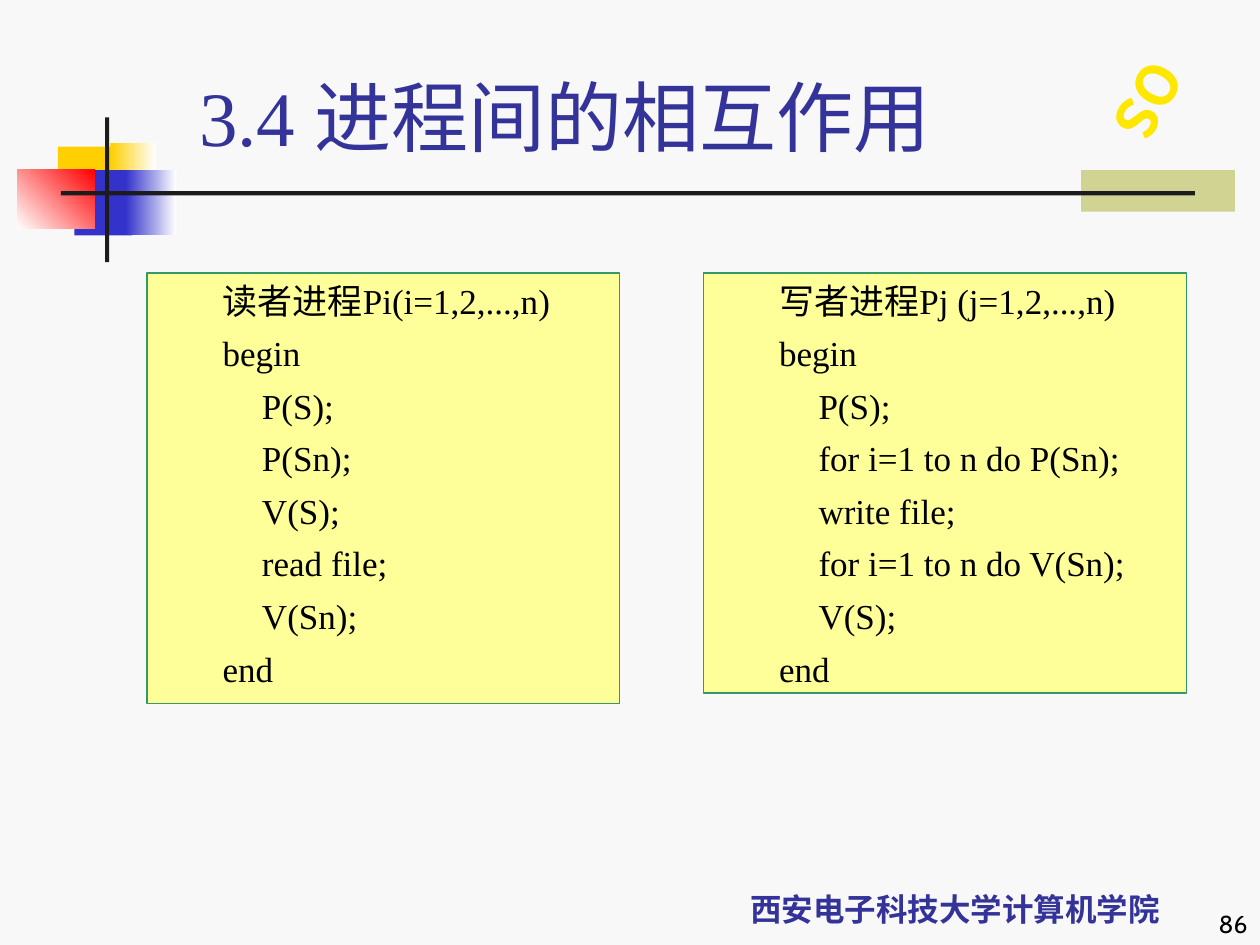
from dataclasses import dataclass
from lxml.etree import SubElement
from pptx import Presentation
from pptx.dml.color import RGBColor
from pptx.enum.shapes import MSO_SHAPE as Shape
from pptx.enum.text import MSO_ANCHOR as Anchor, MSO_AUTO_SIZE as AutoSize, PP_ALIGN as Align
from pptx.oxml.ns import qn
from pptx.util import Pt


@dataclass(frozen=True)
class Theme:
    background: str = "F8F8F8"
    olive: str = "D1D393"
    gold: str = "FFCF01"
    blue: str = "3333CC"
    red: str = "FF0000"
    white: str = "FFFFFF"
    rule: str = "1C1C1C"
    heading: str = "333399"
    emblem: str = "FFE701"
    panel: str = "FFFF99"
    border: str = "339966"
    ink: str = "000000"
    serif: str = "Times New Roman"
    sans: str = "Noto Sans CJK SC"
    number: str = "Cabin"
    title_size: int = 44
    emblem_size: int = 32
    code_size: int = 20
    school_size: int = 18
    number_size: int = 14


theme = Theme()


def place(shape, left, top, width, height):
    shape.left, shape.top, shape.width, shape.height = Pt(left), Pt(top), Pt(width), Pt(height)


def style(para, name, size, color, align=Align.LEFT, bold=False):
    para.alignment = align
    for span in para.runs:
        span.font.name = name
        span.font.size = Pt(size)
        span.font.bold = bold
        span.font.color.rgb = RGBColor.from_string(color)
        if name == theme.sans:
            SubElement(span.font._element, qn("a:ea"), typeface=name)


deck = Presentation()
deck.slide_width, deck.slide_height = Pt(720), Pt(540)
page = deck.slides.add_slide(deck.slide_layouts[3])
page.background.fill.solid()
page.background.fill.fore_color.rgb = RGBColor.from_string(theme.background)

decorations = [
    ((617.8, 97.2, 87.8, 23.8), [theme.olive], 0),
    ((33.1, 83.8, 34.6, 37.4), [theme.gold], 0),
    ((63.1, 81.5, 25.9, 37.4), [theme.gold, theme.white], 0),
    ((42.5, 97.2, 33.1, 37.4), [theme.blue], 0),
    ((72, 97.2, 28.8, 37.4), [theme.blue, theme.white], 0),
    ((10, 96.8, 44.2, 33.8), [theme.white, theme.red], 45),
    ((60, 67, 2.4, 82.8), [theme.rule], 0),
    ((34.8, 109.2, 648, 2.4), [theme.rule], 0),
]
for bounds, colors, angle in decorations:
    block = page.shapes.add_shape(Shape.RECTANGLE, *map(Pt, bounds))
    block.shadow.inherit = False
    block.line.fill.background()
    if len(colors) == 1:
        block.fill.solid()
        block.fill.fore_color.rgb = RGBColor.from_string(colors[0])
    else:
        block.fill.gradient()
        block.fill.gradient_angle = angle
        for stop, color in zip(block.fill.gradient_stops, colors):
            stop.color.rgb = RGBColor.from_string(color)

title = page.shapes.title
place(title, 106.6, 36, 613.4, 60)
title.text_frame.text = "3.4 进程间的相互作用"
title.text_frame.vertical_anchor = Anchor.BOTTOM
title.text_frame.auto_size = AutoSize.NONE
style(title.text_frame.paragraphs[0], theme.serif, theme.title_size, theme.heading)

processes = [
    (1, (84, 156, 270, 246), "读者进程Pi(i=1,2,...,n)",
     ["P(S);", "P(Sn);", "V(S);", "read file;", "V(Sn);"]),
    (2, (402, 156, 276, 240), "写者进程Pj (j=1,2,...,n)",
     ["P(S);", "for i=1 to n do P(Sn);", "write file;", "for i=1 to n do V(Sn);", "V(S);"]),
]
for index, bounds, heading, steps in processes:
    panel = page.placeholders[index]
    place(panel, *bounds)
    panel.fill.solid()
    panel.fill.fore_color.rgb = RGBColor.from_string(theme.panel)
    panel.line.color.rgb = RGBColor.from_string(theme.border)
    panel.line.width = Pt(0.75)
    frame = panel.text_frame
    frame.auto_size = AutoSize.NONE
    frame.text = "\n".join([heading, "begin", *steps, "end"])
    for row, para in enumerate(frame.paragraphs):
        properties = para._p.get_or_add_pPr()
        properties.set("marL", str(Pt(58.5 if para.text in steps else 36)))
        properties.set("indent", "0")
        SubElement(properties, qn("a:buNone"))
        para.space_before = Pt(6 if row else 0)
        style(para, theme.serif, theme.code_size, theme.ink)

labels = [
    ("西安电子科技大学计算机学院", (383.8, 491.8, 324, 41.8), Anchor.BOTTOM,
     (theme.sans, theme.school_size, theme.heading, Align.CENTER, True)),
    ("OS", (630.7, 28.8, 56.9, 51.1), Anchor.MIDDLE,
     (theme.sans, theme.emblem_size, theme.emblem, Align.CENTER, True)),
    ("86", (570.2, 504, 149.8, 36), Anchor.BOTTOM,
     (theme.number, theme.number_size, theme.ink, Align.RIGHT)),
]
for text, bounds, anchor, look in labels:
    box = page.shapes.add_textbox(*map(Pt, bounds))
    frame = box.text_frame
    frame.text = text
    frame.word_wrap = text != "OS"
    frame.vertical_anchor = anchor
    style(frame.paragraphs[0], *look)
    if text == "OS":
        box.rotation = 29.3
        frame._txBody.bodyPr.set("vert", "eaVert")
        frame.margin_left = frame.margin_right = Pt(3.6)
        frame.margin_top = frame.margin_bottom = Pt(7.2)

deck.save("out.pptx")
